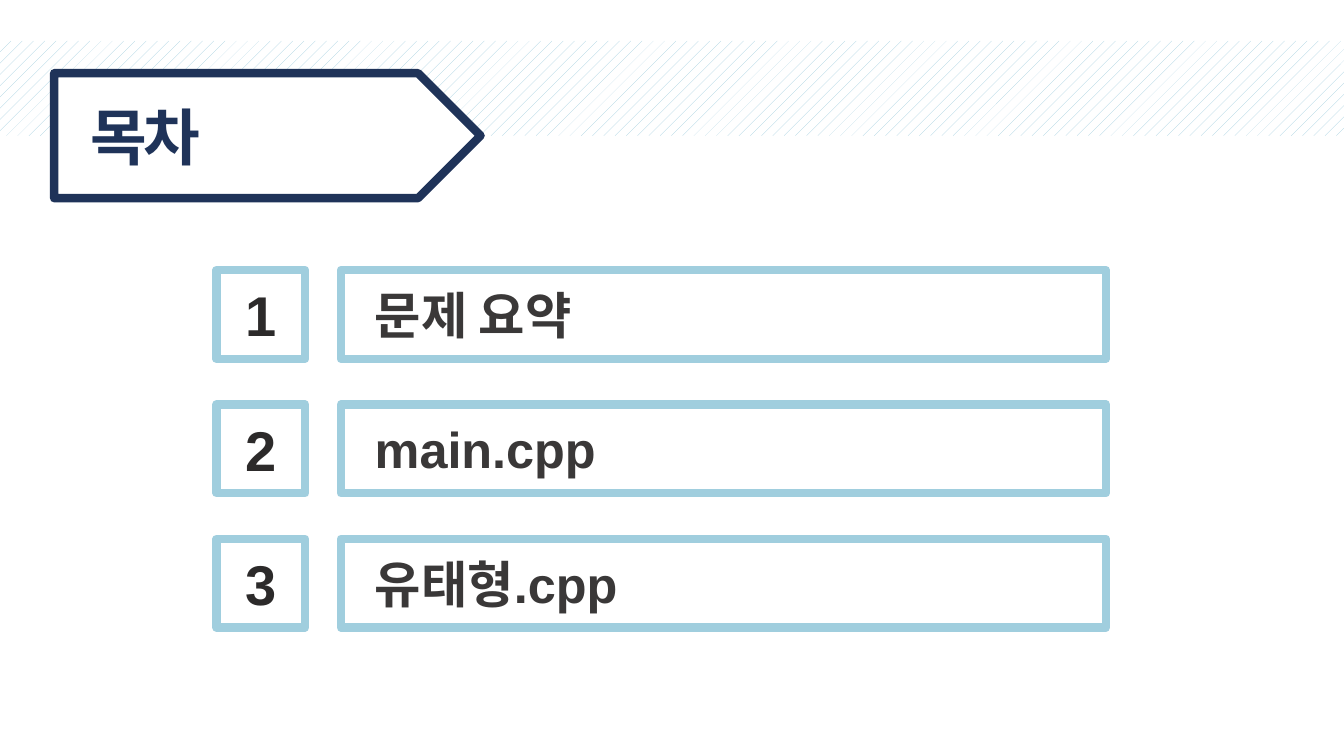
from pptx import Presentation
from pptx.dml.color import RGBColor
from pptx.enum.dml import MSO_LINE, MSO_PATTERN
from pptx.enum.shapes import MSO_SHAPE as SHAPE
from pptx.enum.text import MSO_ANCHOR, MSO_AUTO_SIZE, PP_ALIGN
from pptx.util import Pt

NAVY, SKY, WHITE = "1F3359", "A0CEDE", "FFFFFF"


def rgb(value):
    """Turn a hex string into a colour."""
    return RGBColor.from_string(value)


def box(shapes, kind, x, y, w, h, line):
    """Add a white shape with a thick outline, lengths in points."""
    sp = shapes.add_shape(kind, Pt(x), Pt(y), Pt(w), Pt(h))
    sp.shadow.inherit = False
    sp.fill.solid()
    sp.fill.fore_color.rgb = rgb(WHITE)
    sp.line.color.rgb = rgb(line)
    sp.line.width = Pt(6)
    return sp


def write(sp, text, size, color, align=PP_ALIGN.LEFT, anchor=MSO_ANCHOR.TOP,
          label=False, spacing=None):
    """Put bold Arial text into a shape; a label neither wraps nor stays fixed."""
    tf = sp.text_frame
    tf.word_wrap = not label
    tf.vertical_anchor = anchor
    if label:
        tf.auto_size = MSO_AUTO_SIZE.SHAPE_TO_FIT_TEXT
    p = tf.paragraphs[0]
    p.alignment = align
    r = p.add_run()
    r.text = text
    r.font.name, r.font.size, r.font.bold = "Arial", Pt(size), True
    r.font.color.rgb = rgb(color)
    if spacing is not None:
        r.font._element.set("spc", str(spacing * 100))


prs = Presentation()
prs.slide_width, prs.slide_height = Pt(960), Pt(540)
s = prs.slides.add_slide(prs.slide_layouts[6])

# Hatched band
band = s.shapes.add_shape(SHAPE.RECTANGLE, 0, Pt(29.3), Pt(960), Pt(67.7))
band.shadow.inherit = False
band.line.fill.background()
band.fill.patterned()
band.fill.pattern = MSO_PATTERN.PERCENT_10
band.fill.fore_color.rgb = rgb(SKY)
band.fill.back_color.rgb = rgb(WHITE)

# Title tag
tag = s.shapes.add_group_shape().shapes
box(tag, SHAPE.PENTAGON, 38.7, 52.3, 304.6, 89.3, NAVY)
title = tag.add_textbox(Pt(57.6), Pt(67), Pt(97.2), Pt(60.5))
write(title, "목차", 44, NAVY, label=True, spacing=-3)

# Numbered contents
entries = [("문제 요약", 170), ("main.cpp", 174), ("유태형.cpp", 198)]
top, step, side = 192.9, 96, 63.4
for i, (entry, width) in enumerate(entries):
    y = top + i * step
    row = s.shapes.add_group_shape().shapes
    number = box(row, SHAPE.RECTANGLE, 154.6, y, side, side, SKY)
    write(number, str(i + 1), 40, "2C2A2A", align=PP_ALIGN.CENTER,
          anchor=MSO_ANCHOR.MIDDLE)
    box(row, SHAPE.RECTANGLE, 243.5, y, 546.4, side, SKY)
    name = row.add_textbox(Pt(260.6), Pt(y + 6.5), Pt(width), Pt(51))
    write(name, entry, 36, "3A3838", label=True)

# Square corners on every outlined box
for group in list(s.shapes)[1:]:
    for sp in group.shapes:
        if sp.shape_type != 17:
            sp.line.dash_style = MSO_LINE.SOLID

prs.save("out.pptx")
